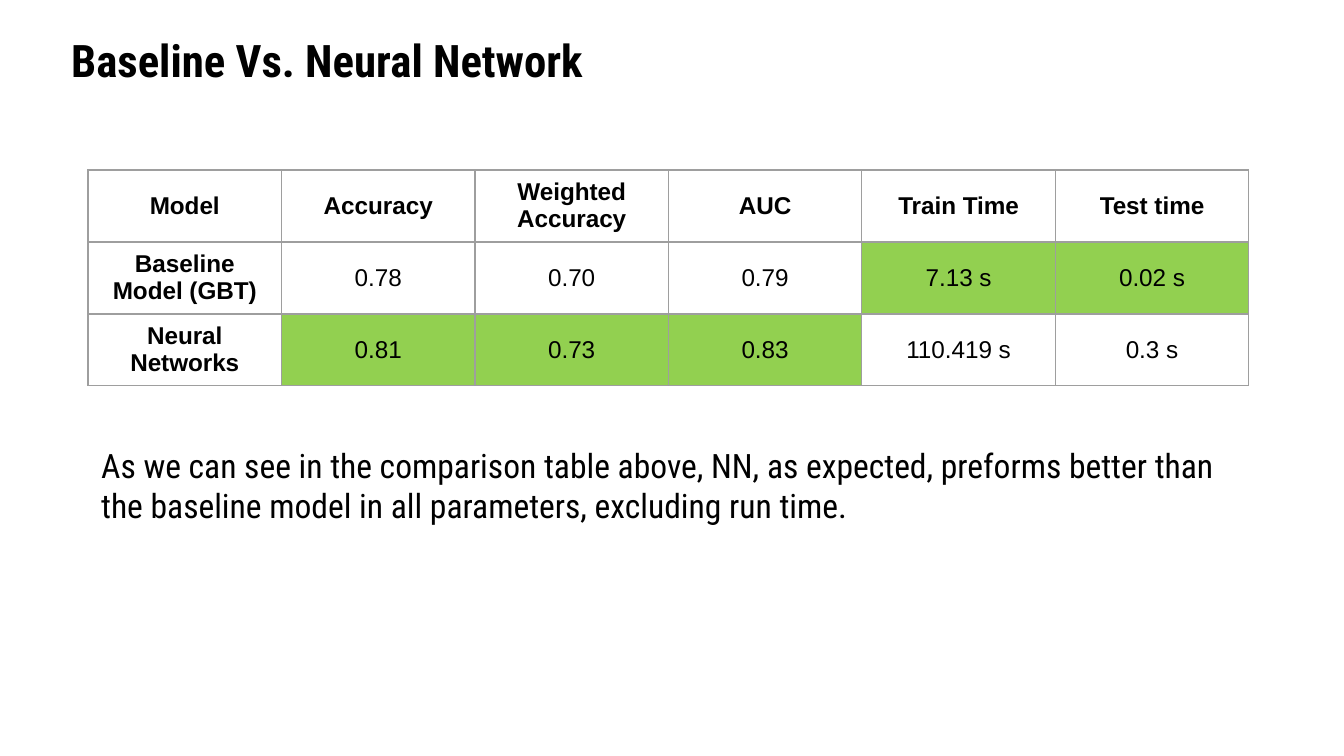
from dataclasses import dataclass

from lxml.etree import SubElement
from pptx import Presentation
from pptx.dml.color import RGBColor
from pptx.enum.text import MSO_ANCHOR, PP_ALIGN
from pptx.oxml.ns import qn
from pptx.util import Pt


@dataclass(frozen=True)
class Theme:
    """Colours, fonts and type sizes of the slide."""
    ink: str = "000000"
    best: str = "92D050"
    rule: str = "9E9E9E"
    rule_width: float = 0.75
    text_font: str = "Roboto Condensed"
    table_font: str = "Arial"
    title_size: int = 24
    body_size: int = 18
    table_size: int = 13


THEME = Theme()
SLIDE_W, SLIDE_H = 1344, 756
ROWS = [
    ["Model", "Accuracy", "Weighted Accuracy", "AUC", "Train Time", "Test time"],
    ["Baseline Model (GBT)", "0.78", "0.70", "0.79", "7.13 s", "0.02 s"],
    ["Neural Networks", "0.81", "0.73", "0.83", "110.419 s", "0.3 s"],
]
BEST = {(1, 4), (1, 5), (2, 1), (2, 2), (2, 3)}


def px(n):
    """Turn px into EMU."""
    return round(n * 914400 / 134.4)


def style(p, font, size, bold=False):
    """Set the font of a whole paragraph."""
    p.font.name = font
    p.font.size = Pt(size)
    p.font.bold = bold
    p.font.color.rgb = RGBColor.from_string(THEME.ink)


def add_text(s, box, text, size, bold=False, inset=7):
    """Place one paragraph of wrapped text in the box."""
    tf = s.shapes.add_textbox(*map(px, box)).text_frame
    tf.word_wrap = True
    tf.margin_top = tf.margin_bottom = px(inset)
    p = tf.paragraphs[0]
    p.text = text
    style(p, THEME.text_font, size, bold)


def set_borders(cell):
    """Rule all four sides of a cell."""
    tc_pr = cell._tc.get_or_add_tcPr()
    for side in ("lnL", "lnR", "lnT", "lnB"):
        ln = SubElement(tc_pr, qn(f"a:{side}"), w=str(Pt(THEME.rule_width)))
        fill = SubElement(ln, qn("a:solidFill"))
        SubElement(fill, qn("a:srgbClr"), val=THEME.rule)


def fill_cell(cell, text, bold, best):
    """Write and style one table cell."""
    set_borders(cell)
    if best:
        cell.fill.solid()
        cell.fill.fore_color.rgb = RGBColor.from_string(THEME.best)
    else:
        cell.fill.background()
    cell.margin_top = cell.margin_bottom = px(6)
    cell.vertical_anchor = MSO_ANCHOR.MIDDLE
    p = cell.text_frame.paragraphs[0]
    p.text = text
    p.alignment = PP_ALIGN.CENTER
    style(p, THEME.table_font, THEME.table_size, bold)


def add_comparison(s, box):
    """Place the model comparison table in the box, in equal rows and columns."""
    _, _, w, h = box
    table = s.shapes.add_table(len(ROWS), len(ROWS[0]), *map(px, box)).table
    for col in table.columns:
        col.width = px(w / len(ROWS[0]))
    for i, values in enumerate(ROWS):
        table.rows[i].height = px(h / len(ROWS))
        for j, text in enumerate(values):
            fill_cell(table.cell(i, j), text, i == 0 or j == 0, (i, j) in BEST)


def main():
    """Build and save the slide."""
    prs = Presentation()
    prs.slide_width, prs.slide_height = px(SLIDE_W), px(SLIDE_H)
    s = prs.slides.add_slide(prs.slide_layouts[6])
    add_text(s, (58, 20, 1133, 81), "Baseline Vs. Neural Network",
             THEME.title_size, bold=True, inset=13)
    add_comparison(s, (88, 170, 1161, 216))
    add_text(s, (88, 438, 1161, 95),
             "As we can see in the comparison table above, NN, as expected, preforms "
             "better than the baseline model in all parameters, excluding run time.",
             THEME.body_size)
    prs.save("out.pptx")


if __name__ == "__main__":
    main()
